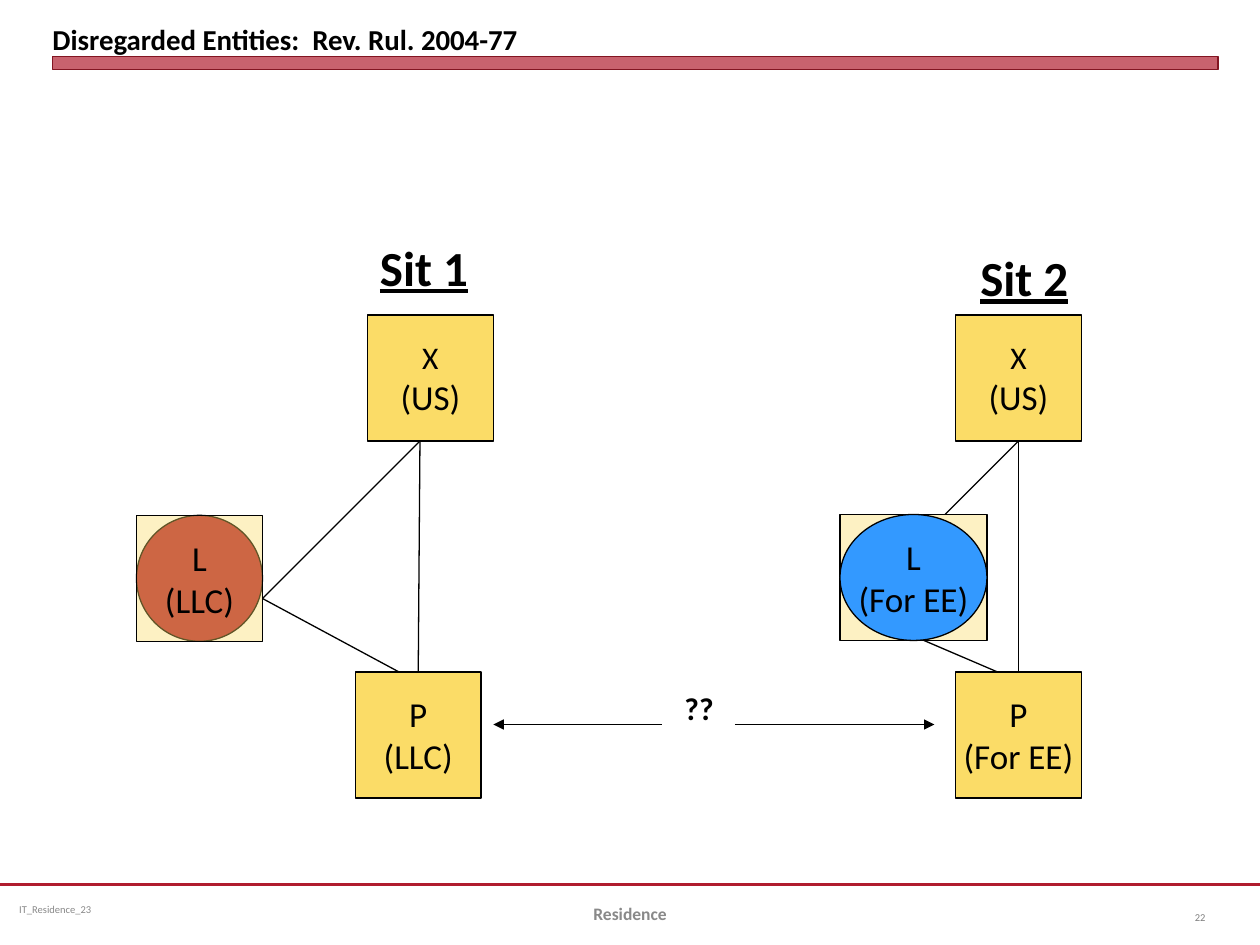
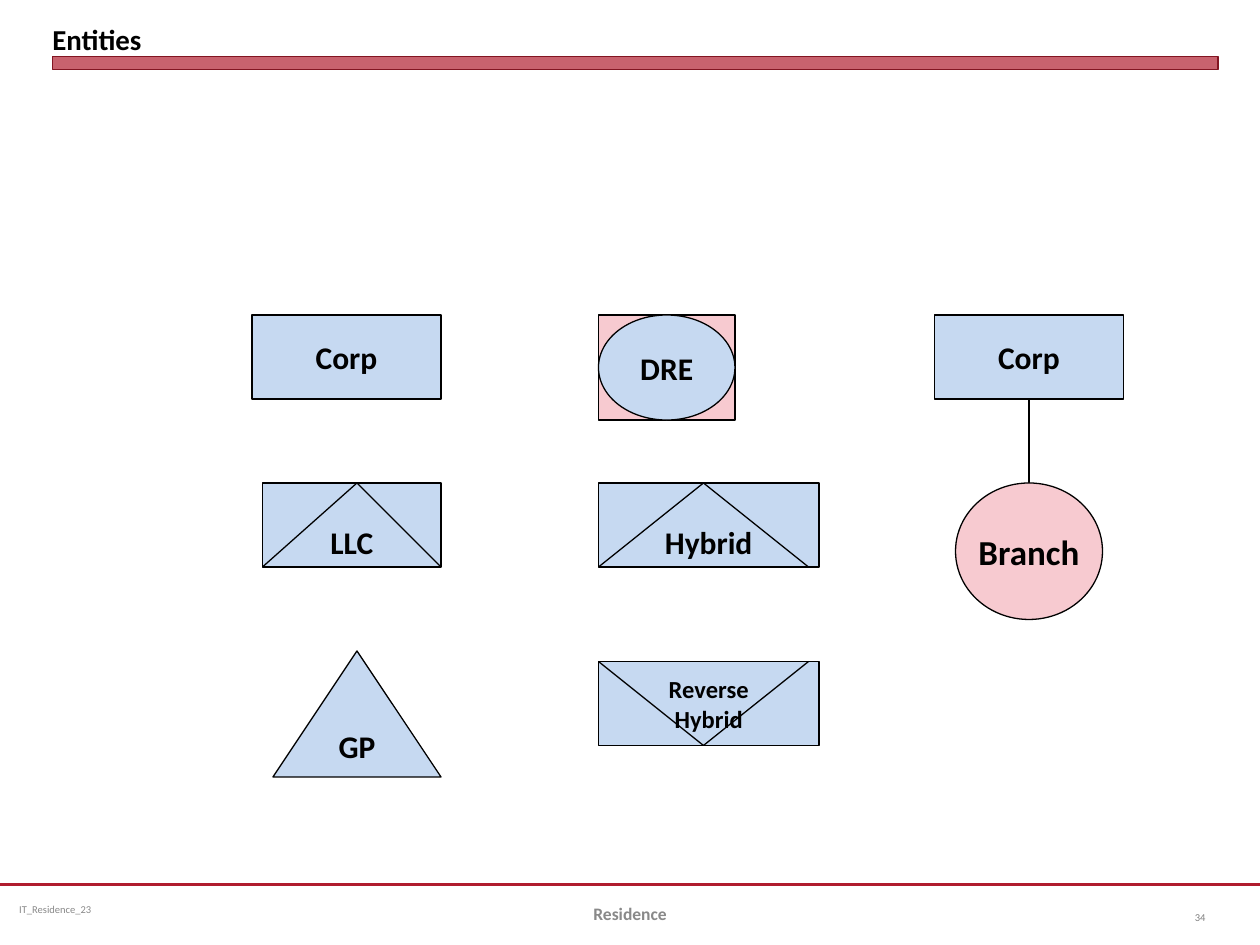
from pptx import Presentation
from pptx.dml.color import RGBColor
from pptx.enum import shapes, text
from pptx.oxml import ns
from pptx.util import Pt
from lxml import etree

FONT = "Calibri"
BLACK, GREY, PALE = "000000", "898989", "808080"
RED, DARK = "B01C2E", "821522"
GOLD, BLUE = "FBDC67", "3399FF"
SKY, PINK = "C6D9F1", "F7CAD0"
RECT = shapes.MSO_SHAPE.RECTANGLE
OVAL = shapes.MSO_SHAPE.OVAL
PEAK = shapes.MSO_SHAPE.ISOSCELES_TRIANGLE
LEFT, MID, RIGHT = text.PP_ALIGN.LEFT, text.PP_ALIGN.CENTER, text.PP_ALIGN.RIGHT
TOP, HALF, BASE = text.MSO_ANCHOR.TOP, text.MSO_ANCHOR.MIDDLE, text.MSO_ANCHOR.BOTTOM


def paint(color, code):
    """Set a colour format from a hex string."""
    color.rgb = RGBColor.from_string(code)


def place(at):
    """Turn left, top, width and height into lengths."""
    return [Pt(n) for n in at]


def write(frame, words, size, bold=False, code=BLACK, align=LEFT,
          anchor=HALF, wrap=False, first=None, under=False):
    """Fill a text frame, one paragraph for each line of words."""
    frame.word_wrap = wrap
    frame.vertical_anchor = anchor
    for i, line in enumerate(words.split("\n")):
        para = frame.add_paragraph() if i else frame.paragraphs[0]
        para.alignment = align
        run = para.add_run()
        run.text = line
        font = run.font
        font.name, font.bold, font.underline = FONT, bold, under
        font.size = Pt(first if first and i == 0 else size)
        paint(font.color, code)


def box(slide, kind, at, fill, words="", size=18, alpha=None,
        edge=BLACK, width=0.75, **style):
    """Add an outlined shape, with centred words if given."""
    shape = slide.shapes.add_shape(kind, *place(at))
    shape.shadow.inherit = False
    shape.fill.solid()
    paint(shape.fill.fore_color, fill)
    if alpha:
        color = shape.fill._xPr.find(".//" + ns.qn("a:srgbClr"))
        etree.SubElement(color, ns.qn("a:alpha"), val=str(alpha * 1000))
    paint(shape.line.color, edge)
    shape.line.width = Pt(width)
    if words:
        write(shape.text_frame, words, size, align=MID, **style)


def label(slide, at, words, size, **style):
    """Add a text box."""
    area = slide.shapes.add_textbox(*place(at))
    write(area.text_frame, words, size, **style)
    return area.text_frame


def link(slide, start, end, code=BLACK, width=0.75, arrow=False):
    """Draw a straight line, with an arrowhead at its end on request."""
    line = slide.shapes.add_connector(
        shapes.MSO_CONNECTOR.STRAIGHT, *place(start + end))
    paint(line.line.color, code)
    line.line.width = Pt(width)
    if arrow:
        etree.SubElement(line.line._get_or_add_ln(), ns.qn("a:tailEnd"),
                         type="triangle")
    etree.SubElement(line._element.spPr, ns.qn("a:effectLst"))


def chevron(slide, left, tip, right, top, base):
    """Draw two lines that run from a tip to two corners."""
    for side in (left, right):
        link(slide, (tip, top), (side, base))


def start(deck, title, page):
    """Add a slide with its title, band and footer."""
    slide = deck.slides.add_slide(deck.slide_layouts[5])
    link(slide, (0, 505.5), (720, 505.5), RED, 1.25)
    box(slide, RECT, (30, 32.4, 666, 7.2), RED, alpha=69, edge=DARK, width=0)
    head = slide.shapes.title
    head.left, head.top, head.width, head.height = place((30, 3.6, 666, 28.8))
    frame = head.text_frame
    frame.auto_size = text.MSO_AUTO_SIZE.NONE
    frame.margin_left = frame.margin_right = 0
    frame.margin_top = frame.margin_bottom = 0
    write(frame, title, 16.5, bold=True, anchor=BASE, wrap=True)
    mark = label(slide, (6, 505.5, 186, 28.8), "IT_Residence_23", 6,
                 code=GREY, wrap=True)
    mark.margin_left = mark.margin_right = Pt(5)
    mark.margin_top = mark.margin_bottom = Pt(2.9)
    label(slide, (246, 507.6, 228, 28.8), "Residence", 10, bold=True,
          code=GREY, align=MID, wrap=True)
    label(slide, (660, 510, 36, 28.8), page, 6, code=PALE, align=RIGHT,
          wrap=True)
    return slide


def ruling(deck):
    """Build the slide on the two situations of the ruling."""
    slide = start(deck, "Disregarded Entities:  Rev. Rul. 2004-77", "22")
    for left in (210, 546):
        box(slide, RECT, (left, 180, 72, 72), GOLD, "X\n(US)", 20, first=18)
    for left, kind in ((203, "LLC"), (546, "For EE")):
        box(slide, RECT, (left, 384, 72, 72), GOLD, f"P\n({kind})", 20)
    near, far = (78, 294.5, 72, 72), (480, 294, 84, 72)
    box(slide, OVAL, near, RED)
    box(slide, RECT, near, GOLD, "L\n(LLC)", 20, alpha=39)
    box(slide, RECT, far, GOLD, alpha=39)
    for ends in (
        ((240, 252), (150, 342)), ((240, 252), (239, 384)),
        ((150, 342), (228, 384)), ((582, 252), (540, 294)),
        ((582, 252), (582, 384)), ((528, 366), (570, 384)),
    ):
        link(slide, *ends)
    box(slide, OVAL, far, BLUE, "L\n(For EE)", 20)
    label(slide, (210, 132, 65.5, 41), "Sit 1", 28, bold=True, under=True,
          anchor=TOP)
    label(slide, (552, 138, 65.5, 41), "Sit 2", 28, bold=True, under=True,
          anchor=TOP, align=RIGHT)
    for tail, tip in ((378, 282), (420, 534)):
        link(slide, (tail, 414), (tip, 414), arrow=True)
    label(slide, (384, 390, 38, 36), "??", 18, bold=True, anchor=TOP)


def legend(deck):
    """Build the slide that shows the symbol of each entity."""
    slide = start(deck, "Entities", "34")
    for left in (144, 534):
        box(slide, RECT, (left, 180, 108, 48), SKY, "Corp", bold=True)
    round_at = (342, 180, 78, 60)
    box(slide, RECT, round_at, PINK)
    box(slide, OVAL, round_at, SKY, "DRE", bold=True)
    box(slide, RECT, (150, 276, 102, 48), SKY, "LLC", bold=True, anchor=BASE)
    box(slide, RECT, (342, 276, 126, 48), SKY, "Hybrid", bold=True,
        anchor=BASE)
    box(slide, PEAK, (156, 372, 96, 72), SKY, "GP", bold=True)
    box(slide, RECT, (342, 378, 126, 48), SKY, "Reverse\nHybrid", 14,
        bold=True)
    chevron(slide, 150, 204, 252, 276, 324)
    chevron(slide, 342, 402, 462, 276, 324)
    chevron(slide, 342, 402, 462, 426, 378)
    link(slide, (588, 228), (588, 276))
    box(slide, OVAL, (546, 276, 84, 78), PINK, "Branch", 20, bold=True)


def main():
    """Build the deck and save it."""
    deck = Presentation()
    deck.slide_width, deck.slide_height = Pt(720), Pt(540)
    ruling(deck)
    legend(deck)
    deck.save("out.pptx")


if __name__ == "__main__":
    main()
